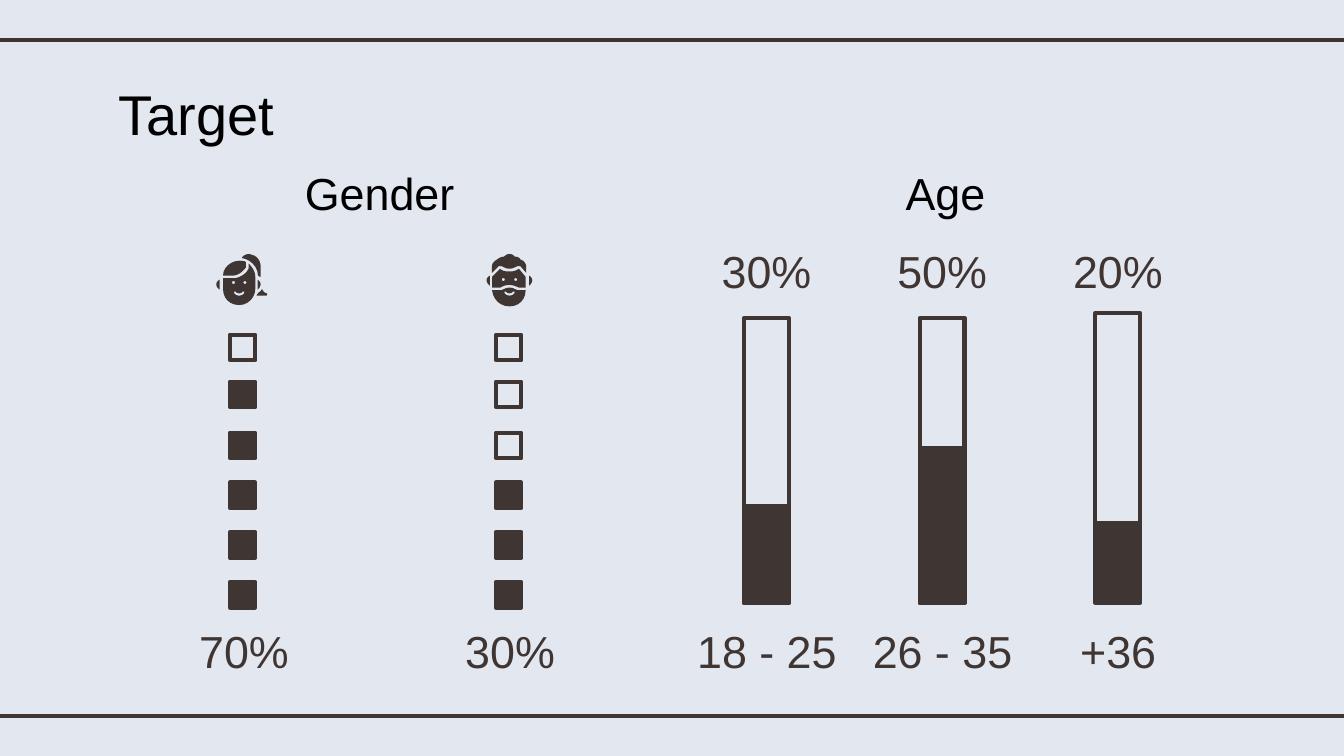
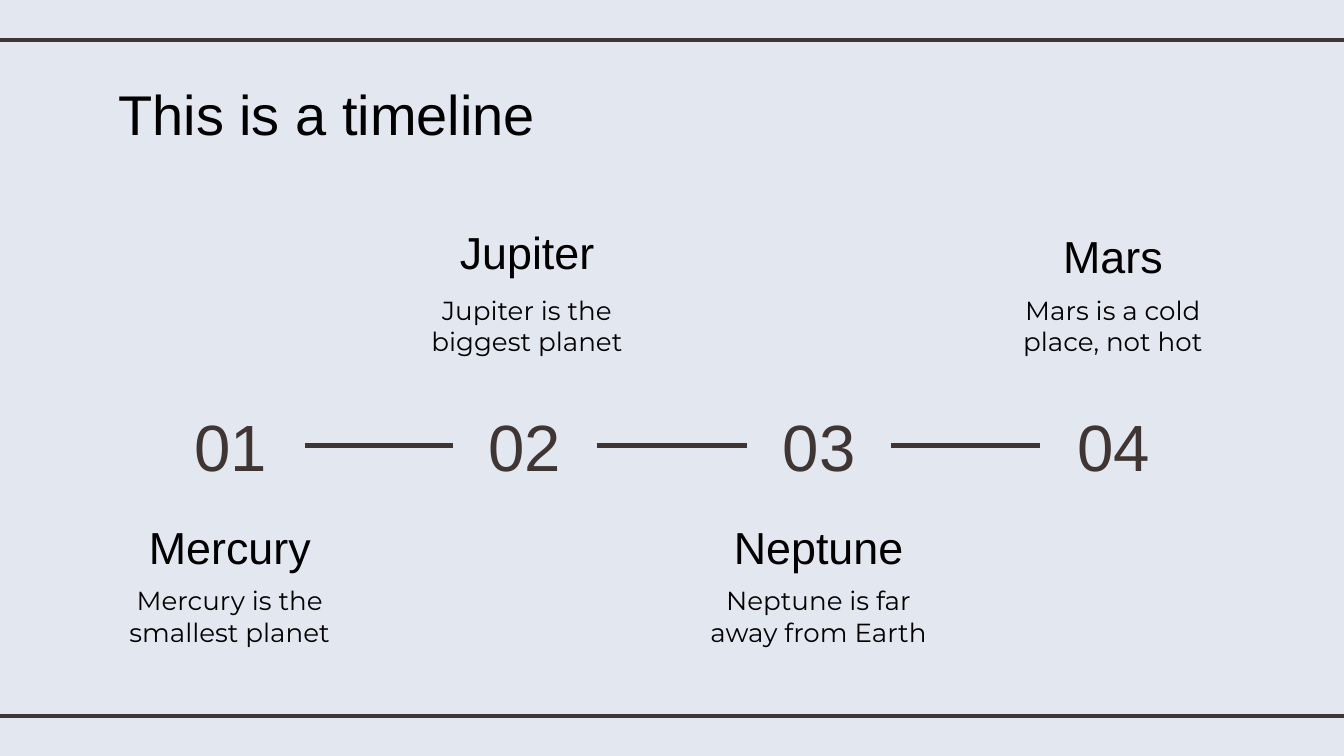
from lxml import etree
from pptx import Presentation
from pptx.dml.color import RGBColor
from pptx.enum.shapes import MSO_CONNECTOR, MSO_SHAPE
from pptx.enum.text import MSO_ANCHOR, MSO_AUTO_SIZE, PP_ALIGN
from pptx.oxml.ns import qn
from pptx.util import Pt

RECT = MSO_SHAPE.RECTANGLE
STRAIGHT = MSO_CONNECTOR.STRAIGHT
TOP, MIDDLE = MSO_ANCHOR.TOP, MSO_ANCHOR.MIDDLE
LEFT, CENTER = PP_ALIGN.LEFT, PP_ALIGN.CENTER
NO_FIT = MSO_AUTO_SIZE.NONE

DARK, BLACK, PAPER = "3F3533", "000000", "E3E7F0"
HEAD_FONT, BODY_FONT = "Arial", "Montserrat"
WIDTH, HEIGHT = 720, 405
STROKE = 2.25
UNIT = 0.72   # points in one icon unit
FINE = 100    # freeform steps in one icon unit

# Icon outlines: a pair is a corner, six numbers are a Bézier curve.
SMILE = [(13, 28), (13, 32, 21, 32, 21, 28), (19.5, 28),
         (19, 29.7, 15, 29.7, 14.5, 28)]


def eye(x, y, r=1.1):
    k = r * 0.55
    return [(x - r, y), (x - r, y - k, x - k, y - r, x, y - r),
            (x + k, y - r, x + r, y - k, x + r, y),
            (x + r, y + k, x + k, y + r, x, y + r),
            (x - k, y + r, x - r, y + k, x - r, y)]


def ears(right, top):
    """Return the parts for a left ear at 0 and a right ear ending at `right`."""
    low = top + 7.5
    return [
        [[(2.5, top), (1, top + 1, 0, top + 2, 0, top + 3.5),
          (0, top + 5, 1, top + 6.5, 2.5, low)]],
        [[(right - 2.3, top), (right - 2.3, low),
          (right - 1, top + 6.5, right, top + 5, right, top + 3.5),
          (right, top + 2, right - 1, top + 1, right - 2.3, top)]],
    ]


WOMAN = [
    [[(25, 0), (22, 0, 20, 1, 19, 3), (25, 4, 31, 9, 31, 16),
      (32, 17, 33, 17, 33, 17), (33, 9), (33, 5, 30, 1, 26, 0.5)]],
    [[(34, 26), (33, 28, 32, 28, 31, 29), (31, 30, 30, 30, 30, 31), (37, 31),
      (38, 31, 38, 29, 37, 29), (36, 29, 35, 28, 34, 26)]],
    [[(17, 5), (11, 5, 5, 10, 5, 16), (13, 16), (16, 16, 20, 13, 22, 10),
      (22, 9, 22, 7, 22, 6), (21, 5, 19, 5, 17, 5)]],
    [[(24, 7), (24, 9, 24, 10, 24, 11), (22, 15, 17, 18, 13, 18), (5, 18),
      (5, 26), (5, 33, 10, 38, 17, 38), (24, 38, 29, 32, 29, 26), (29, 17),
      (29, 13, 27, 10, 24, 7)], eye(12.8, 21.2), eye(21.3, 21.2), SMILE],
    *ears(33, 19),
]
MAN = [
    [[(10, 11), (4, 17), (4, 25), (10, 25), (12, 24, 14, 23, 17, 23),
      (19, 23, 22, 24, 24, 25), (29, 25), (29, 17), (24, 11),
      (21, 13, 19, 13, 17, 13), (15, 13, 12, 13, 10, 11)],
     eye(12.4, 19), eye(21.6, 19)],
    [[(17, 0), (15, 0, 14, 1, 13, 2), (11, 2, 9, 3, 8, 4), (6, 5, 4, 7, 4, 9),
      (4, 14), (9, 9), (10, 9, 10, 9, 11, 9), (13, 10, 15, 11, 17, 11),
      (19, 11, 21, 10, 23, 9), (24, 9, 24, 9, 25, 9), (29.5, 14), (29.5, 9),
      (29, 7, 28, 5, 25, 4), (25, 3, 23, 2, 21, 2), (20, 1, 19, 0, 17, 0)]],
    [[(17, 25), (15, 25, 13, 26, 11, 27), (4, 27), (5, 34, 10, 39, 17, 39),
      (24, 39, 29, 34, 29, 27), (23, 27), (21, 26, 19, 25, 17, 25)], SMILE],
    *ears(34, 16),
]


def color(value):
    return RGBColor.from_string(value)


def write(tf, text, size=24, font=HEAD_FONT, ink=DARK, align=CENTER,
          anchor=MIDDLE, right_inset=7.2):
    """Fill a text frame with one formatted paragraph."""
    tf.word_wrap = True
    tf.auto_size = NO_FIT
    tf.vertical_anchor = anchor
    tf.margin_left = tf.margin_top = tf.margin_bottom = Pt(7.2)
    tf.margin_right = Pt(right_inset)
    p = tf.paragraphs[0]
    p.alignment = align
    r = p.add_run()
    r.text = text
    r.font.size = Pt(size)
    r.font.name = font
    r.font.color.rgb = color(ink)


def add_text(s, text, x, y, w, h, **style):
    box = s.shapes.add_textbox(Pt(x), Pt(y), Pt(w), Pt(h))
    write(box.text_frame, text, **style)
    return box


def add_rect(s, x, y, w, h, filled):
    sp = s.shapes.add_shape(RECT, Pt(x), Pt(y), Pt(w), Pt(h))
    sp.shadow.inherit = False
    if filled:
        sp.fill.solid()
        sp.fill.fore_color.rgb = color(DARK)
    else:
        sp.fill.background()
    sp.line.color.rgb = color(DARK)
    sp.line.width = Pt(STROKE)


def add_line(s, x1, x2, y):
    line = s.shapes.add_connector(STRAIGHT, Pt(x1), Pt(y), Pt(x2), Pt(y))
    line.line.color.rgb = color(DARK)
    line.line.width = Pt(STROKE)
    etree.SubElement(line._element.spPr, qn("a:effectLst"))
    return line


def flatten(outline, steps=6):
    """Turn an outline with curves into freeform points."""
    points = [outline[0]]
    for step in outline[1:]:
        if len(step) == 2:
            points.append(step)
            continue
        curve = (points[-1], step[:2], step[2:4], step[4:])
        for i in range(1, steps + 1):
            t = i / steps
            weights = ((1 - t) ** 3, 3 * t * (1 - t) ** 2,
                       3 * t * t * (1 - t), t ** 3)
            points.append(tuple(sum(k * c[axis] for k, c in zip(weights, curve))
                                for axis in (0, 1)))
    return [(x * FINE, y * FINE) for x, y in points]


def add_icon(s, parts, x, y):
    for part in parts:
        first, *holes = [flatten(outline) for outline in part]
        pen = s.shapes.build_freeform(*first[0], scale=Pt(UNIT) / FINE)
        pen.add_line_segments(first[1:])
        for hole in holes:
            pen.move_to(*hole[0])
            pen.add_line_segments(hole[1:])
        sp = pen.convert_to_shape(Pt(x), Pt(y))
        sp.shadow.inherit = False
        sp.fill.solid()
        sp.fill.fore_color.rgb = color(DARK)
        sp.line.fill.background()


def base_slide(prs, title):
    """Add a slide with the shared title and the two rules."""
    s = prs.slides.add_slide(prs.slide_layouts[5])
    for y in (21.6, 383.8):
        add_line(s, -6, WIDTH + 6, y)
    sp = s.shapes.title
    sp.left, sp.top, sp.width, sp.height = Pt(56.2), Pt(35.3), Pt(607.7), Pt(45.4)
    write(sp.text_frame, title, size=30, ink=BLACK, align=LEFT, anchor=TOP)
    return s


def panel_heading(s, text, x, y):
    add_text(s, text, x, y, 218.2, 28, ink=BLACK, right_inset=4.3)


def gender_panel(s, left, top):
    panel_heading(s, "Gender", left, top)
    side = 13.7
    square_tops = (90, 115.2, 142.5, 169.2, 195.8, 222.5)
    columns = ((WOMAN, 23, 37.1, "70%", 1), (MAN, 167.8, 179.6, "30%", 3))
    for icon, icon_x, center, share, empty in columns:
        add_icon(s, icon, left + icon_x, top + 46.8)
        for i, y in enumerate(square_tops):
            add_rect(s, left + center - side / 2, top + y, side, side,
                     filled=i >= empty)
        add_text(s, share, left + center - 47.5, top + 245.5, 96.5, 28)


def age_panel(s, left, top):
    panel_heading(s, "Age", left, top)
    bar_w, base = 24, 233.6
    bars = (("30%", "18 - 25", 81, 152.6, 51.8),
            ("50%", "26 - 35", 81, 152.6, 82.8),
            ("20%", "+36", 78.5, 146.2, 42.5))
    for i, (share, age, frame_top, frame_h, level) in enumerate(bars):
        center = left + 14.6 + 94.1 * i
        x = center - bar_w / 2
        add_rect(s, x, top + frame_top, bar_w, frame_h, filled=False)
        add_rect(s, x, top + base - level, bar_w, level, filled=True)
        add_text(s, share, center - 32.7, top + 45.3, 65.5, 20.9)
        add_text(s, age, center - 48, top + 245.5, 96.5, 28)


def timeline(s, left, top):
    # number, its left and width, caption left, name top, text top, name, text
    planets = (
        ("01", 28.1, 79.9, 0, 157.6, 185, "Mercury",
         "Mercury is the smallest planet"),
        ("02", 187.2, 77, 159.2, 0, 29.5, "Jupiter",
         "Jupiter is the biggest planet"),
        ("03", 344.9, 77, 315.4, 157.6, 185, "Neptune",
         "Neptune is far away from Earth"),
        ("04", 501.9, 78.5, 473.1, 2.1, 29.5, "Mars",
         "Mars is a cold place, not hot"),
    )
    numbers = []
    for number, num_x, num_w, x, name_y, text_y, name, text in planets:
        numbers.append(add_text(s, number, left + num_x, top + 91.4, num_w, 52.6,
                                size=35))
        add_text(s, name, left + x, top + name_y, 135.4, 28, ink=BLACK)
        add_text(s, text, left + x, top + text_y, 135.4, 45.4, size=14,
                 font=BODY_FONT, ink=BLACK, anchor=TOP)
    for a, b in zip(numbers, numbers[1:]):
        line = add_line(s, 0, 0, 0)
        line.begin_connect(a, 3)
        line.end_connect(b, 1)


def main():
    prs = Presentation()
    prs.slide_width, prs.slide_height = Pt(WIDTH), Pt(HEIGHT)
    fill = prs.slide_master.background.fill
    fill.solid()
    fill.fore_color.rgb = color(PAPER)

    s = base_slide(prs, "Target")
    gender_panel(s, 92.9, 89.3)
    age_panel(s, 396, 89.3)

    s = base_slide(prs, "This is a timeline")
    timeline(s, 55.4, 121)

    prs.save("out.pptx")


if __name__ == "__main__":
    main()
